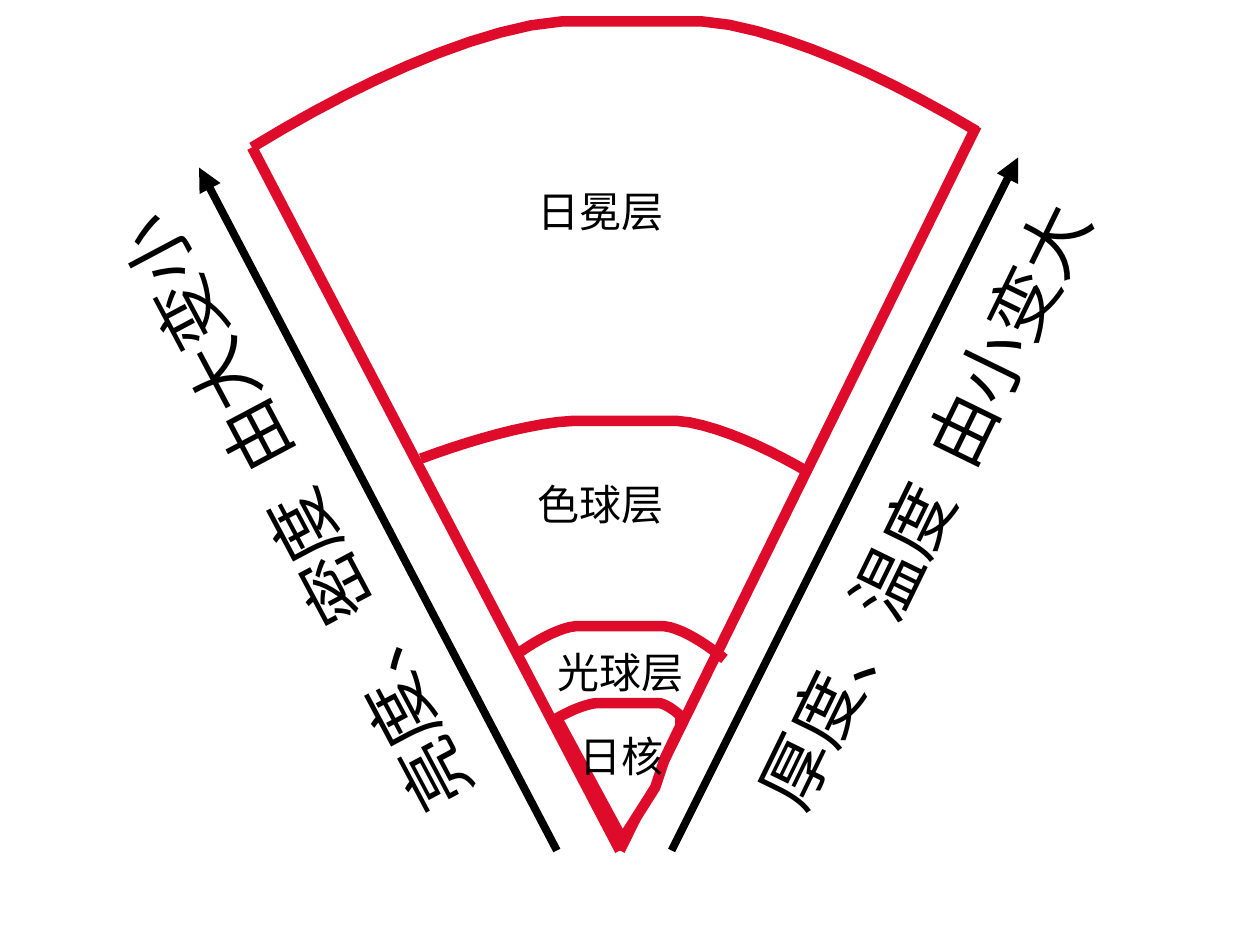
import pptx
import pptx.dml.color
import pptx.enum.shapes
import pptx.enum.text
import pptx.oxml.ns
import pptx.util
from lxml import etree
from pptx.util import Inches

COLORS = {"layer": "DE0C2A", "ink": "000000", "paper": "FFFFFF"}
rgb = {
    name: pptx.dml.color.RGBColor.from_string(value) for name, value in COLORS.items()
}
STEPS_PER_FLANK = 10
FLANK_CURVE = 1.5


def dome(left_end, flat_left, flat_right, right_end, top):
    steps = [step / STEPS_PER_FLANK for step in range(STEPS_PER_FLANK + 1)]
    flanks = []
    for (end_x, end_y), flat_x in ((left_end, flat_left), (right_end, flat_right)):
        flanks.append([
            (flat_x + (end_x - flat_x) * t, top + (end_y - top) * t ** FLANK_CURVE)
            for t in steps
        ])
    left_flank, right_flank = flanks
    return left_flank[::-1] + right_flank


def add_outline(points, closed):
    corners = [(Inches(x), Inches(y)) for x, y in points]
    builder = slide.shapes.build_freeform(*corners[0], scale=1.0)
    builder.add_line_segments(corners[1:], close=closed)
    outline = builder.convert_to_shape()
    outline.shadow.inherit = False
    outline.line.color.rgb = rgb["layer"]
    outline.line.width = pptx.util.Pt(6)
    if closed:
        outline.fill.solid()
        outline.fill.fore_color.rgb = rgb["paper"]
    else:
        outline.fill.background()


prs = pptx.Presentation()
prs.slide_width = Inches(10)
prs.slide_height = Inches(7.5)
slide = prs.slides.add_slide(prs.slide_layouts[6])

sun_center = (4.92, 6.75)
sector_left = (2, 1.17)
sector_right = (7.75, 1)
density_start, density_end = (4.42, 6.75), (1.58, 1.33)
temperature_start, temperature_end = (5.33, 6.75), (8.08, 1.25)

straight_lines = [
    (sector_left, sun_center, "layer", 6, False),
    (sector_right, sun_center, "layer", 6, False),
    (temperature_start, temperature_end, "ink", 4.5, True),
    (density_start, density_end, "ink", 4.5, True),
]
for start, end, color, weight, has_arrow in straight_lines:
    connector = slide.shapes.add_connector(
        pptx.enum.shapes.MSO_CONNECTOR.STRAIGHT,
        *[Inches(value) for value in start + end],
    )
    connector.line.color.rgb = rgb[color]
    connector.line.width = pptx.util.Pt(weight)
    if has_arrow:
        arrowhead = etree.SubElement(
            connector.line._get_or_add_ln(), pptx.oxml.ns.qn("a:tailEnd")
        )
        arrowhead.set("type", "triangle")
    etree.SubElement(connector._element.spPr, pptx.oxml.ns.qn("a:effectLst"))

core_dome = dome((4.42, 5.7), 4.74, 5.23, (5.4, 5.68), top=5.58)
core_right_edge = [(5.4, 5.76), (5.28, 6.01), (5.2, 6.25), (4.94, 6.66)]
photosphere_dome = dome((4.08, 5.21), 4.57, 5.27, (5.75, 5.23), top=4.97)
chromosphere_dome = dome((3.34, 3.64), 4.55, 5.37, (6.42, 3.75), top=3.34)
corona_dome = dome(sector_left, 4.46, 5.57, (7.75, 1.04), top=0.17)

add_outline(core_dome + core_right_edge, closed=True)
for layer_dome in (photosphere_dome, chromosphere_dome, corona_dome):
    add_outline(layer_dome, closed=False)

TREND_SIZE = (5.44, 0.77)
LAYER_HEIGHT = 0.5
labels = [
    ("厚度、温度  由小变大", (4.61, 3.63), TREND_SIZE, 296, 40, False),
    ("亮度、密度  由大变小", (-0.38, 3.69), TREND_SIZE, 242, 40, False),
    ("日核", (4.5, 5.75), (0.92, LAYER_HEIGHT), 0, 24, True),
    ("光球层", (4.33, 5.08), (1.2, LAYER_HEIGHT), 0, 24, False),
    ("色球层", (4.17, 3.75), (1.5, LAYER_HEIGHT), 0, 24, True),
    ("日冕层", (4.17, 1.42), (1.2, LAYER_HEIGHT), 0, 24, False),
]
for wording, position, size, angle, points, wraps in labels:
    label = slide.shapes.add_textbox(*[Inches(value) for value in position + size])
    label.rotation = angle
    label.text_frame.text = wording
    label.text_frame.word_wrap = wraps
    label.text_frame.auto_size = pptx.enum.text.MSO_AUTO_SIZE.SHAPE_TO_FIT_TEXT
    font = label.text_frame.paragraphs[0].runs[0].font
    font.name = "Arial"
    font.size = pptx.util.Pt(points)
    font.color.rgb = rgb["ink"]

prs.save("out.pptx")
